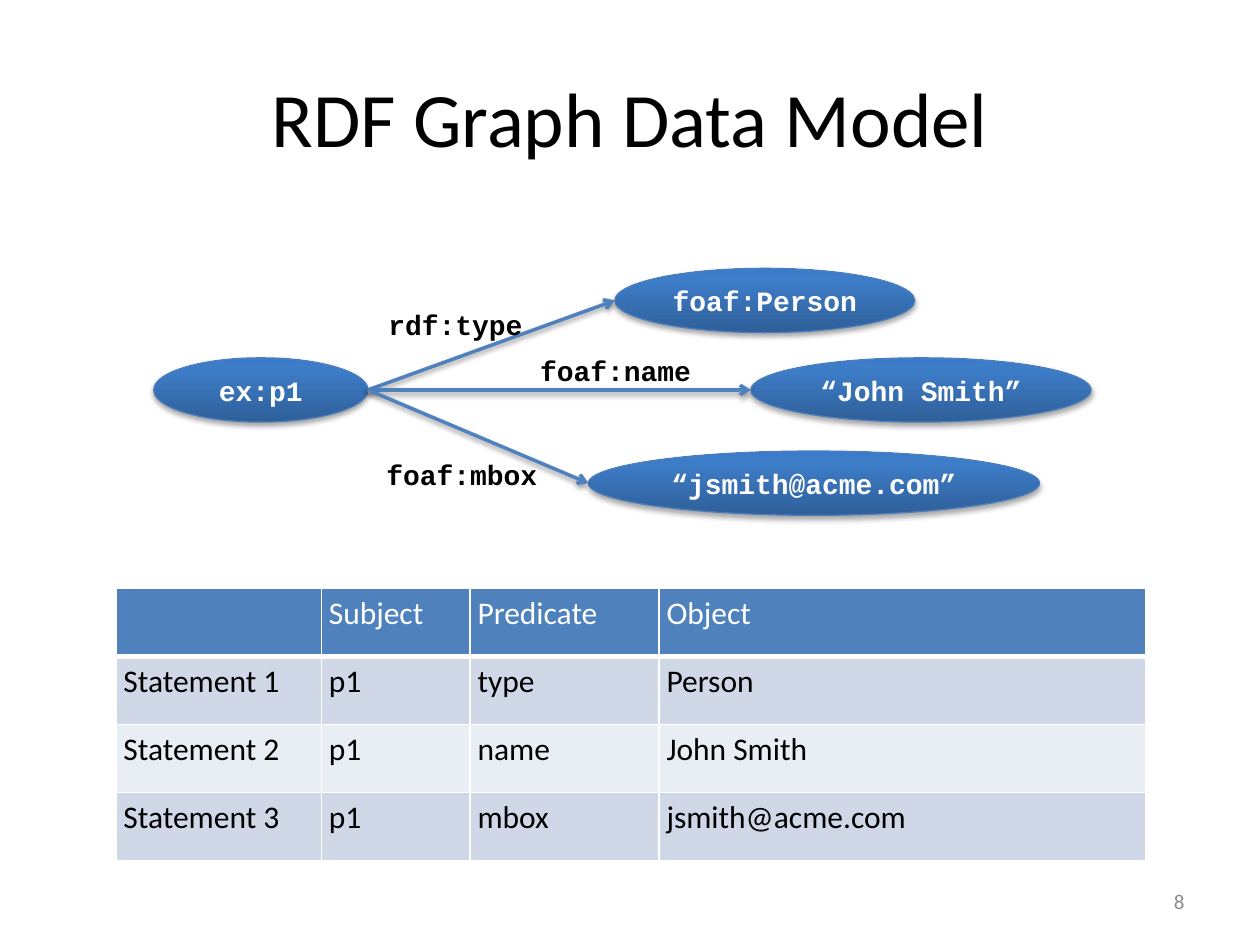
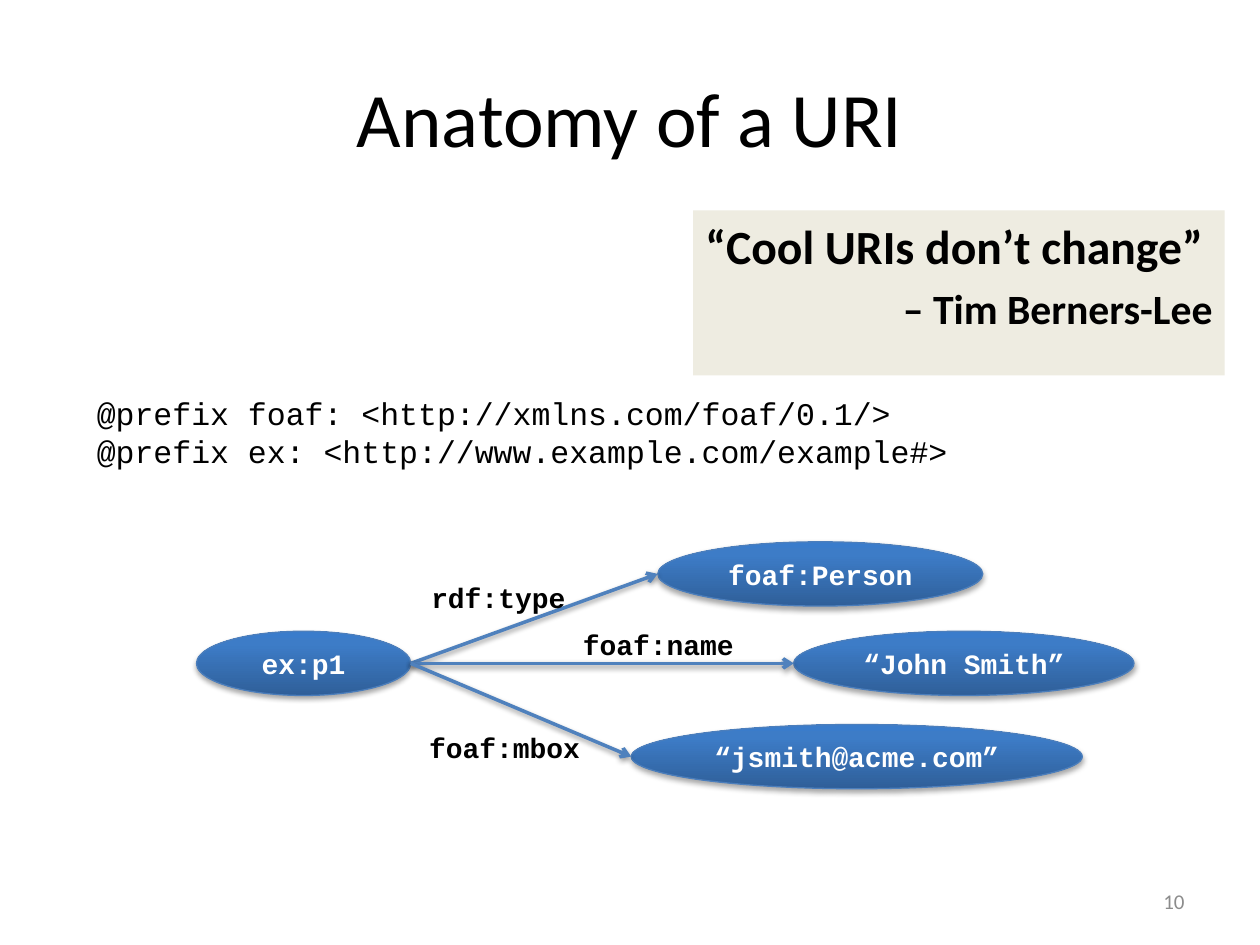
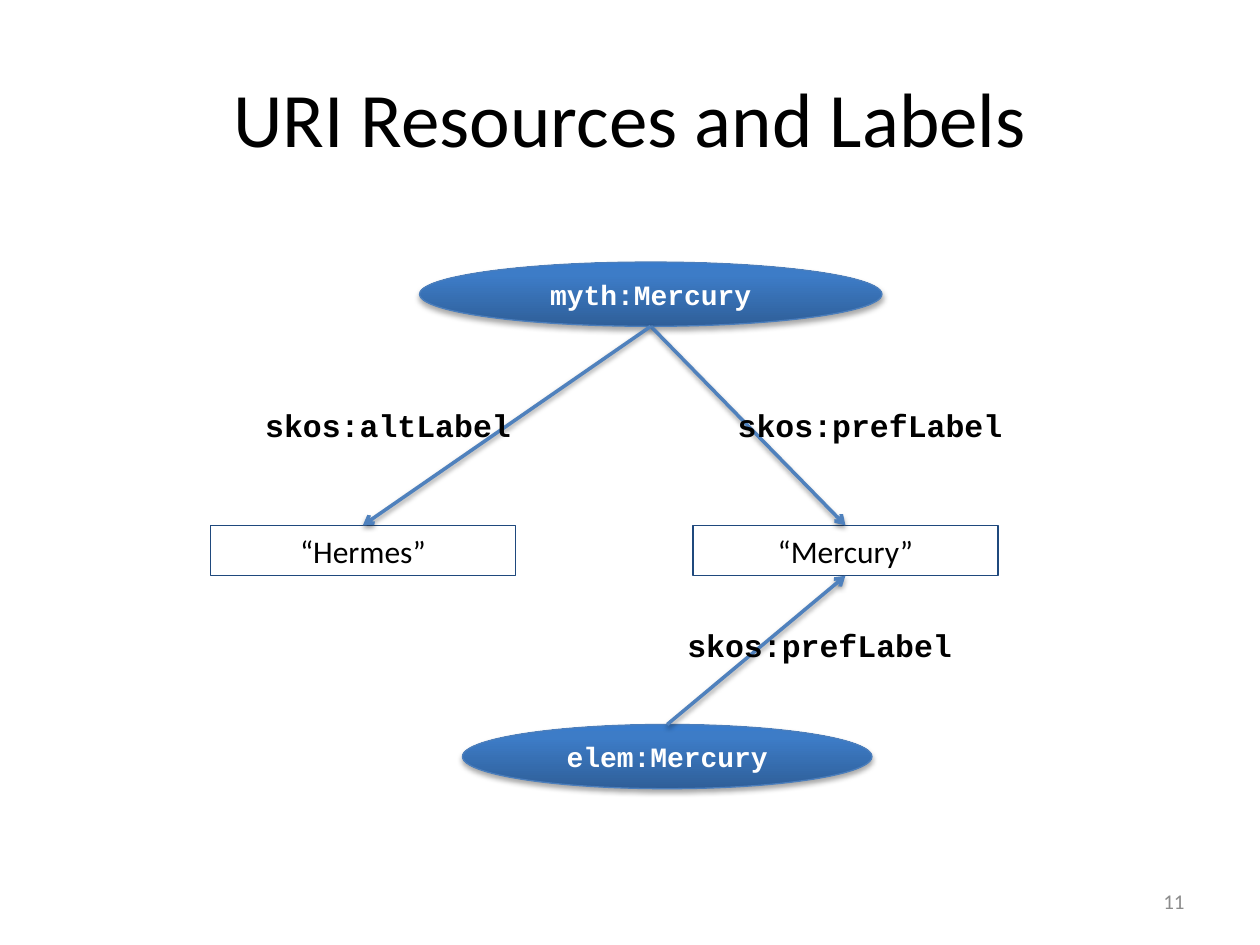
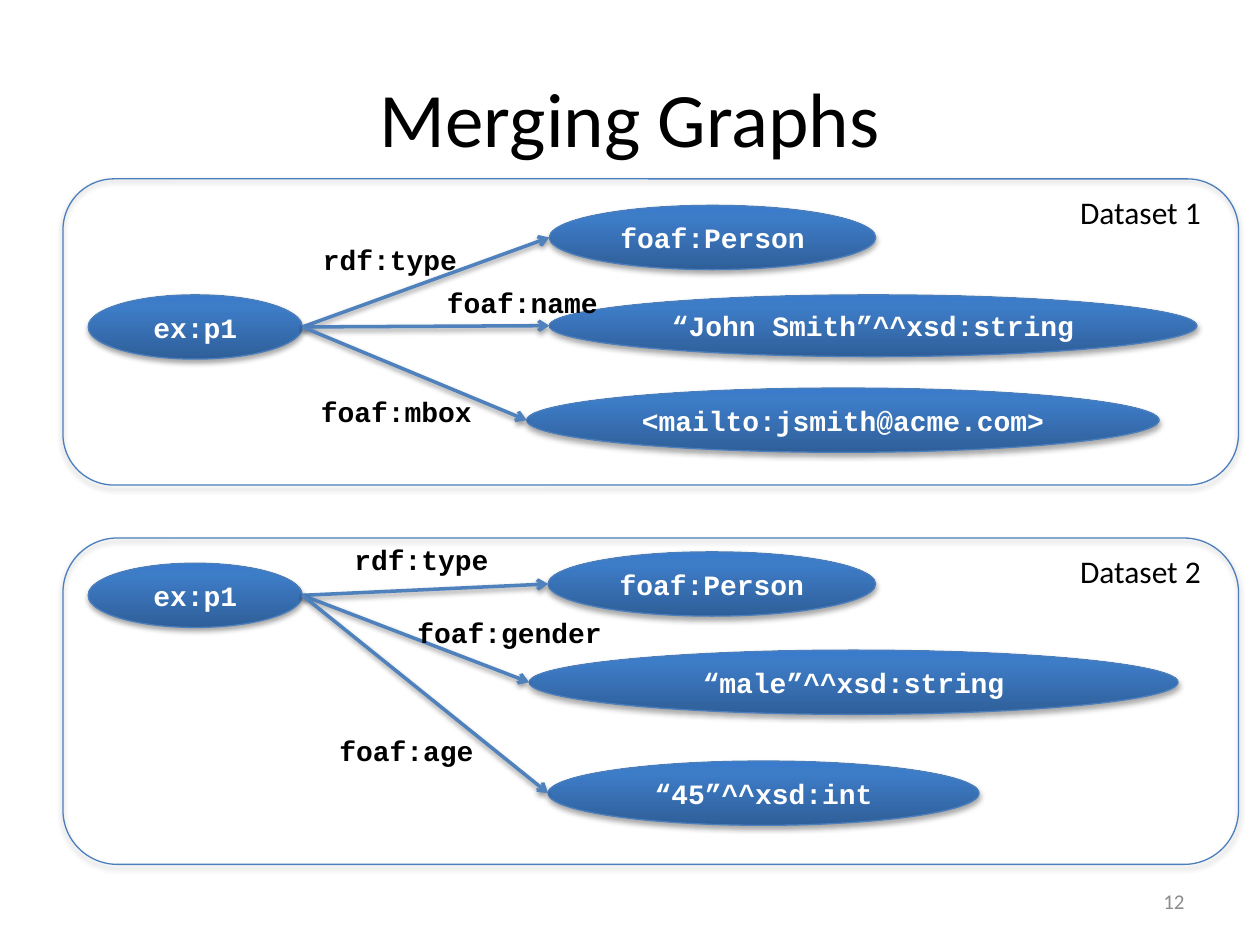
from copy import deepcopy

from lxml import etree
from pptx import Presentation
from pptx import util as u
from pptx.dml import color
from pptx.enum import shapes as s
from pptx.enum import text as t
from pptx.oxml import ns

SCALE = 9144
TOP, LEFT, RIGHT, BOTTOM = (0.5, 0), (0, 0.5), (1, 0.5), (0.5, 1)
CENTER, END = t.PP_ALIGN.CENTER, t.PP_ALIGN.RIGHT
MIDDLE = t.MSO_ANCHOR.MIDDLE


def px(*lengths):
    return [u.Emu(length * SCALE) for length in lengths]


def rgb(code):
    return color.RGBColor.from_string(code)


def add_xml(parent, tag, **attributes):
    return etree.SubElement(parent, ns.qn(tag), attributes)


def write(frame, content, size=18, font="Calibri", ink="000000", bold=False,
          align=None, anchor=None, wrap=True, before=0):
    frame.word_wrap = wrap
    if anchor is not None:
        frame.vertical_anchor = anchor
    paragraph = frame.add_paragraph() if frame.text else frame.paragraphs[0]
    paragraph.alignment = align
    paragraph.space_before = u.Pt(before)
    run = paragraph.add_run()
    run.text = content
    run.font.size = u.Pt(size)
    run.font.name = font
    run.font.bold = bold
    run.font.color.rgb = rgb(ink)


def anchor_point(shape, side):
    across, down = side
    return (int(shape.left + across * shape.width),
            int(shape.top + down * shape.height))


class Deck:
    """Holds the shared style and the current slide."""

    mono = "Courier New"
    accent = "4F81BD"
    outline = "4B7EBC"
    gradient = [(0, "2F5F99"), (0.8, "3D7CC7"), (1, "3A7CCB")]
    bands = ["D0D8E8", "E9EDF4"]

    def __init__(self):
        self.prs = Presentation()
        self.prs.slide_width, self.prs.slide_height = px(1000, 750)
        self.slide = None

    def new_slide(self, title, number):
        self.slide = self.prs.slides.add_slide(self.prs.slide_layouts[5])
        heading = self.slide.shapes.title
        heading.left, heading.top, heading.width, heading.height = px(50, 30, 900, 125)
        write(heading.text_frame, title, size=44, align=CENTER, anchor=MIDDLE)
        self.label(number, 717, 695, 233, 40, size=12, ink="8C8C8C",
                   align=END, anchor=MIDDLE)

    def label(self, content, x, y, w, h=40, **style):
        box = self.slide.shapes.add_textbox(*px(x, y, w, h))
        write(box.text_frame, content, **style)
        return box

    def shadow(self, effects, opacity, distance):
        outer = add_xml(effects, "a:outerShdw", blurRad=str(u.Pt(3.1)),
                        dist=str(u.Pt(distance)), dir="5400000", rotWithShape="0")
        black = add_xml(outer, "a:srgbClr", val="000000")
        add_xml(black, "a:alpha", val=str(opacity * 1000))

    def outlined(self, kind, x, y, w, h, line, shaded=True):
        shape = self.slide.shapes.add_shape(kind, *px(x, y, w, h))
        shape.fill.background()
        shape.line.color.rgb = rgb(line)
        shape.line.width = u.Pt(0.75)
        shape.shadow.inherit = False
        if shaded:
            self.shadow(shape._element.spPr.find(ns.qn("a:effectLst")), 35, 1.8)
        return shape

    def resource(self, name, x, y, w, h=51):
        oval = self.outlined(s.MSO_SHAPE.OVAL, x, y, w, h, self.outline)
        oval.fill.gradient()
        oval.fill.gradient_angle = 90
        stops = oval._element.spPr.find(".//" + ns.qn("a:gsLst"))
        stops.append(deepcopy(stops[0]))
        for stop, (position, shade) in zip(oval.fill.gradient_stops, self.gradient):
            stop.position = position
            stop.color.rgb = rgb(shade)
        write(oval.text_frame, name, size=16, font=self.mono, ink="FFFFFF",
              bold=True, align=CENTER, anchor=MIDDLE)
        return oval

    def literal(self, content, x, y):
        box = self.outlined(s.MSO_SHAPE.RECTANGLE, x, y, 242, 40, "1F497D", shaded=False)
        write(box.text_frame, content, align=CENTER)
        return box

    def arrow(self, source, source_side, target, target_side):
        link = self.slide.shapes.add_connector(
            s.MSO_CONNECTOR.STRAIGHT, *anchor_point(source, source_side),
            *anchor_point(target, target_side))
        link.line.color.rgb = rgb(self.accent)
        link.line.width = u.Pt(2)
        properties = link._element.spPr
        add_xml(properties.find(ns.qn("a:ln")), "a:tailEnd", type="arrow")
        self.shadow(add_xml(properties, "a:effectLst"), 38, 1.6)

    def predicate(self, name, x, y, w, h=37, size=16, wrap=True):
        self.label(name, x, y, w, h, size=size, font=self.mono, bold=True,
                   align=CENTER, wrap=wrap)

    def graph(self, x, y, statements):
        subject = self.resource("ex:p1", x, y, 170)
        for name, (name_x, name_y, name_w), value, (dx, dy, *size) in statements:
            target = self.resource(value, x + dx, y + dy, *size)
            self.arrow(subject, RIGHT, target, LEFT)
            self.predicate(name, x + name_x, y + name_y, name_w)

    def dataset(self, name, y, h):
        self.outlined(s.MSO_SHAPE.ROUNDED_RECTANGLE, 50, y, 933, h, self.outline)
        self.label(name, 830, y + 6, 133, align=END)

    def table(self, rows, x, y, widths, row_height):
        grid = self.slide.shapes.add_table(
            len(rows), len(widths),
            *px(x, y, sum(widths), row_height * len(rows))).table
        for column, width in zip(grid.columns, px(*widths)):
            column.width = width
        for r, row in enumerate(rows):
            for c, content in enumerate(row):
                self.cell(grid.cell(r, c), content, r)

    def cell(self, cell, content, row):
        cell.margin_left, cell.margin_right, cell.margin_top, cell.margin_bottom = px(6, 6, 5, 5)
        for edge in "LRTB":
            weight = 3 if (row, edge) in [(0, "B"), (1, "T")] else 1
            line = add_xml(cell._tc.get_or_add_tcPr(), "a:ln" + edge, w=str(u.Pt(weight)))
            add_xml(add_xml(line, "a:solidFill"), "a:srgbClr", val="FFFFFF")
        cell.fill.solid()
        cell.fill.fore_color.rgb = rgb(self.bands[(row - 1) % 2] if row else self.accent)
        if content:
            write(cell.text_frame, content, ink="000000" if row else "FFFFFF")


def person_statements(person_width):
    return [
        ("rdf:type", (170, -45, 139), "foaf:Person", (366, -71, person_width)),
        ("foaf:name", (287, -8, 159), "“John Smith”", (474, 0, 270)),
        ("foaf:mbox", (170, 74, 149), "“jsmith@acme.com”", (345, 74, 358)),
    ]


def data_model(deck):
    deck.new_slide("RDF Graph Data Model", "8")
    deck.table([
        ["", "Subject", "Predicate", "Object"],
        ["Statement 1", "p1", "type", "Person"],
        ["Statement 2", "p1", "name", "John Smith"],
        ["Statement 3", "p1", "mbox", "jsmith@acme.com"],
    ], 92, 467, [163, 118, 150, 386], 54)
    deck.graph(122, 284, person_statements(238))


def uri_anatomy(deck):
    deck.new_slide("Anatomy of a URI", "10")
    quote = deck.label("“Cool URIs don’t change”", 550, 167, 422, 131,
                       size=27.2, bold=True)
    quote.fill.solid()
    quote.fill.fore_color.rgb = rgb("EEECE1")
    write(quote.text_frame, "– Tim Berners-Lee", size=23.8, bold=True,
          align=END, before=5)
    prefixes = deck.label("@prefix foaf: <http://xmlns.com/foaf/0.1/>",
                          67, 308, 757, 71, font=deck.mono)
    write(prefixes.text_frame, "@prefix ex: <http://www.example.com/example#>",
          font=deck.mono)
    deck.graph(156, 501, person_statements(258))


def resource_labels(deck):
    deck.new_slide("URI Resources and Labels", "11")
    element = deck.resource("elem:Mercury", 367, 575, 325)
    myth = deck.resource("myth:Mercury", 333, 208, 367)
    mercury = deck.literal("“Mercury”", 550, 417)
    hermes = deck.literal("“Hermes”", 167, 417)
    deck.arrow(element, TOP, mercury, BOTTOM)
    deck.arrow(myth, BOTTOM, mercury, TOP)
    deck.arrow(myth, BOTTOM, hermes, TOP)
    for name, x, y, w in [("skos:prefLabel", 575, 317, 231),
                          ("skos:prefLabel", 535, 492, 231),
                          ("skos:altLabel", 200, 317, 216)]:
        deck.predicate(name, x, y, w, h=40, size=18, wrap=False)


def merging_graphs(deck):
    deck.new_slide("Merging Graphs", "12")
    deck.graph(70, 447, [
        ("rdf:type", (195, -21, 139), "foaf:Person", (365, -9, 260)),
        ("foaf:gender", (241, 37, 187), "“male”^^xsd:string", (350, 69, 515)),
        ("foaf:age", (180, 130, 145), "“45”^^xsd:int", (365, 157, 342)),
    ])
    deck.graph(70, 234, [
        ("rdf:type", (170, -46, 139), "foaf:Person", (366, -71, 259)),
        ("foaf:name", (265, -12, 159), "“John Smith”^^xsd:string", (366, 0, 514, 49)),
        ("foaf:mbox", (170, 74, 149), "<mailto:jsmith@acme.com>", (348, 74, 502)),
    ])
    deck.dataset("Dataset 1", 142, 243)
    deck.dataset("Dataset 2", 427, 259)


def main():
    deck = Deck()
    for build in (data_model, uri_anatomy, resource_labels, merging_graphs):
        build(deck)
    deck.prs.save("out.pptx")


if __name__ == "__main__":
    main()
